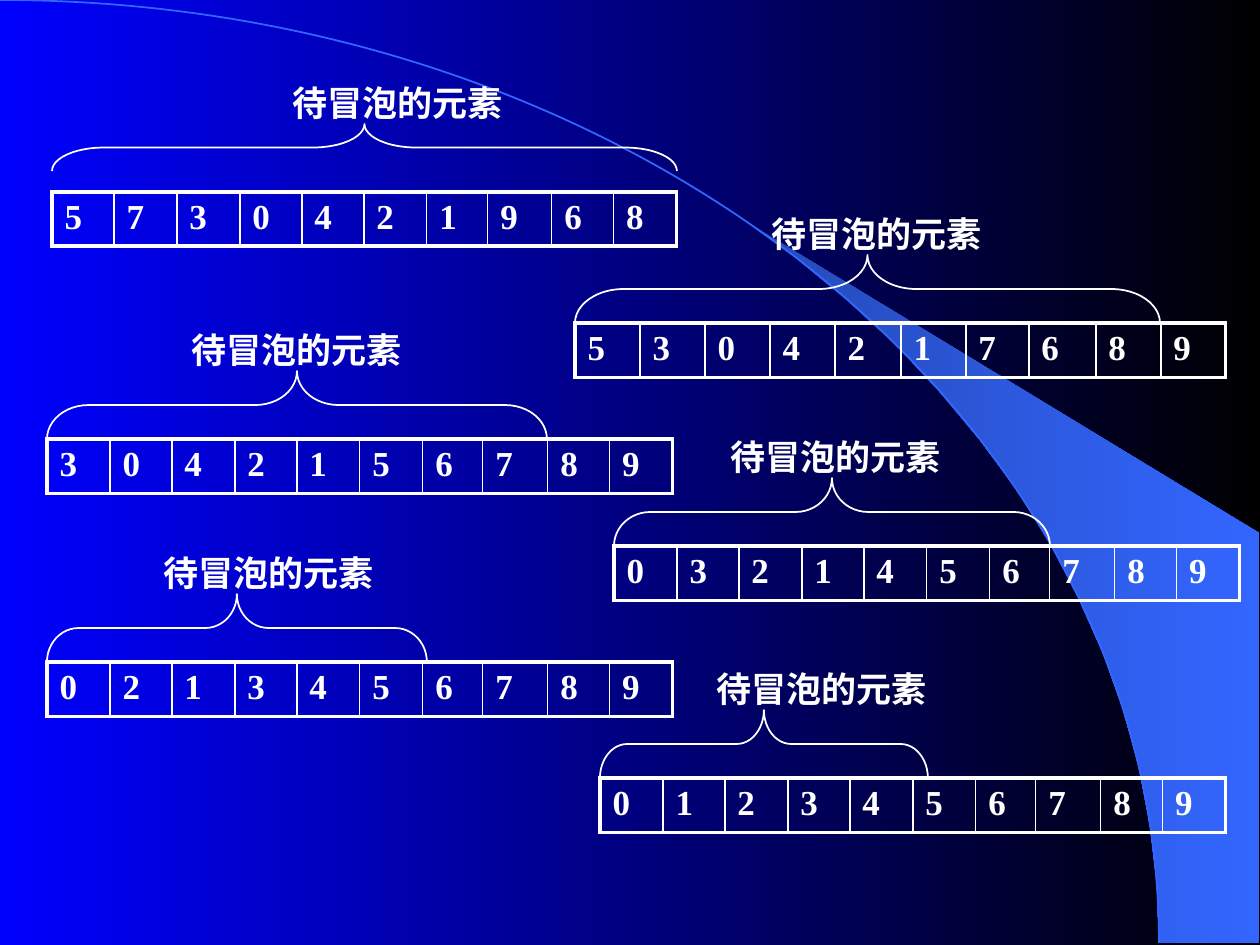
from dataclasses import dataclass
from math import asin, cos, pi, sin

from lxml.etree import SubElement
from pptx import Presentation
from pptx.dml.color import RGBColor
from pptx.dml.fill import FillFormat
from pptx.enum.shapes import MSO_SHAPE
from pptx.enum.text import MSO_AUTO_SIZE, PP_ALIGN
from pptx.oxml.ns import qn
from pptx.shapes.autoshape import Shape
from pptx.slide import Slide
from pptx.table import _Cell
from pptx.text.text import TextFrame
from pptx.util import Emu, Pt

SCALE = 914400 // 126
SLIDE_WIDTH, SLIDE_HEIGHT = 1260, 945
ARC_WIDTH, ARC_HEIGHT = 1159, 943
BEAM_LEFT, BEAM_RIGHT, BEAM_CORNER = 742, 1259, 533
BEAM_STEPS = 14
ROW_HEIGHT = 54
BRACE_RISE, LABEL_RISE = 68, 117
CAPTION = "待冒泡的元素"


@dataclass(frozen=True)
class Theme:
    """Colours, fonts and sizes of the slide."""
    ink: str = "FFFFFF"
    sky: tuple[str, str] = ("0000FF", "000000")
    beam: tuple[str, str] = ("2449B6", "3366FF")
    arc: str = "3366FF"
    digit_font: str = "Times New Roman"
    caption_font: str = "Arial"
    text_size: float = 20
    thin: float = 1
    thick: float = 2.25


@dataclass(frozen=True)
class SortPass:
    """One state of the bubble sort, with the span still to be sorted."""
    digits: str
    left: int
    top: int
    width: int
    span: int
    label_left: int
    label_width: int
    brace_height: int = 68


THEME = Theme()
PASSES = (
    SortPass("5730421968", 52, 192, 625, 625, 180, 435, 47),
    SortPass("5304217689", 575, 323, 651, 585, 659, 435),
    SortPass("3042156789", 47, 439, 626, 500, 79, 435),
    SortPass("0321456789", 614, 546, 626, 436, 664, 343),
    SortPass("0213456789", 47, 662, 626, 380, 97, 343),
    SortPass("0123456789", 600, 778, 626, 328, 650, 343),
)


def px(length: float) -> Emu:
    """Turn pixels into EMU."""
    return Emu(round(length * SCALE))


def rgb(code: str) -> RGBColor:
    """Read a colour code."""
    return RGBColor.from_string(code)


def fill_gradient(fill: FillFormat, colours: tuple[str, str]) -> None:
    """Fill from left to right with two colours."""
    fill.gradient()
    fill.gradient_angle = 0
    for stop, colour in zip(fill.gradient_stops, colours):
        stop.color.rgb = rgb(colour)


def write(frame: TextFrame, text: str, *, font: str,
          align: PP_ALIGN = PP_ALIGN.LEFT) -> None:
    """Put one bold line of text in a frame."""
    line = frame.paragraphs[0]
    line.alignment = align
    run = line.add_run()
    run.text = text
    run.font.name = font
    run.font.size = Pt(THEME.text_size)
    run.font.bold = True
    run.font.color.rgb = rgb(THEME.ink)


def add_outline(slide: Slide, points: list[tuple[float, float]], close: bool) -> Shape:
    """Draw a freeform through the points."""
    builder = slide.shapes.build_freeform(*points[0], scale=SCALE)
    builder.add_line_segments(points[1:], close=close)
    outline = builder.convert_to_shape()
    outline.shadow.inherit = False
    return outline


def add_beam(slide: Slide) -> None:
    """Draw the bright wedge that leans on the arc."""
    start = asin(BEAM_LEFT / ARC_WIDTH)
    angles = [start + (pi / 2 - start) * i / BEAM_STEPS for i in range(BEAM_STEPS + 1)]
    edge = [(ARC_WIDTH * sin(a), ARC_HEIGHT * (1 - cos(a))) for a in angles]
    corners = [(BEAM_RIGHT, ARC_HEIGHT), (BEAM_RIGHT, BEAM_CORNER)]
    beam = add_outline(slide, edge + corners, True)
    fill_gradient(beam.fill, THEME.beam)
    beam.line.fill.background()


def add_arc(slide: Slide) -> None:
    """Draw the quarter ellipse as a single Bezier curve."""
    controls = [(0, 0), (640, 0), (ARC_WIDTH, 422), (ARC_WIDTH, ARC_HEIGHT)]
    arc = add_outline(slide, controls, False)
    segments = list(arc._element.iter(qn("a:lnTo")))
    curve = SubElement(segments[0].getparent(), qn("a:cubicBezTo"))
    for segment in segments:
        curve.append(segment[0])
        segment.getparent().remove(segment)
    arc.fill.background()
    arc.line.color.rgb = rgb(THEME.arc)
    arc.line.width = Pt(THEME.thin)


def set_borders(cell: _Cell, first: bool, last: bool) -> None:
    """Give a cell thick outer and thin inner lines."""
    widths = {
        "a:lnL": THEME.thick if first else THEME.thin,
        "a:lnR": THEME.thick if last else THEME.thin,
        "a:lnT": THEME.thick,
        "a:lnB": THEME.thick,
    }
    properties = cell._tc.get_or_add_tcPr()
    for tag, width in widths.items():
        border = SubElement(properties, qn(tag), w=str(Pt(width)))
        SubElement(SubElement(border, qn("a:solidFill")), qn("a:srgbClr"), val=THEME.ink)


def add_digits(slide: Slide, sort_pass: SortPass) -> None:
    """Draw the row of digits as a table."""
    count = len(sort_pass.digits)
    table = slide.shapes.add_table(
        1, count, px(sort_pass.left), px(sort_pass.top),
        px(sort_pass.width), px(ROW_HEIGHT)).table
    table.first_row = table.horz_banding = False
    edges = [round(i * sort_pass.width / count) for i in range(count + 1)]
    edges[7] -= 2
    for i, digit in enumerate(sort_pass.digits):
        table.columns[i].width = px(edges[i + 1] - edges[i])
        cell = table.cell(0, i)
        set_borders(cell, i == 0, i == count - 1)
        cell.fill.background()
        write(cell.text_frame, digit, font=THEME.digit_font)


def add_brace(slide: Slide, sort_pass: SortPass) -> None:
    """Draw the upward brace over the unsorted span."""
    span, height = sort_pass.span, sort_pass.brace_height
    shift = (span - height) / 2
    brace = slide.shapes.add_shape(
        MSO_SHAPE.RIGHT_BRACE, px(sort_pass.left + shift),
        px(sort_pass.top - BRACE_RISE - shift), px(height), px(span))
    brace.rotation = 270
    brace.adjustments[0] = span / 12 / height
    brace.adjustments[1] = 0.5
    brace.shadow.inherit = False
    brace.fill.background()
    brace.line.color.rgb = rgb(THEME.ink)
    brace.line.width = Pt(THEME.thin)


def add_caption(slide: Slide, sort_pass: SortPass) -> None:
    """Write the caption over the brace."""
    caption = slide.shapes.add_textbox(
        px(sort_pass.label_left), px(sort_pass.top - LABEL_RISE),
        px(sort_pass.label_width), px(ROW_HEIGHT)).text_frame
    caption.word_wrap = True
    caption.auto_size = MSO_AUTO_SIZE.SHAPE_TO_FIT_TEXT
    write(caption, CAPTION, font=THEME.caption_font, align=PP_ALIGN.CENTER)


def main() -> None:
    """Build and save the slide."""
    deck = Presentation()
    deck.slide_width, deck.slide_height = px(SLIDE_WIDTH), px(SLIDE_HEIGHT)
    slide = deck.slides.add_slide(deck.slide_layouts[6])
    fill_gradient(slide.background.fill, THEME.sky)
    add_beam(slide)
    add_arc(slide)
    for sort_pass in PASSES:
        add_digits(slide, sort_pass)
        add_brace(slide, sort_pass)
        add_caption(slide, sort_pass)
    deck.save("out.pptx")


main()
